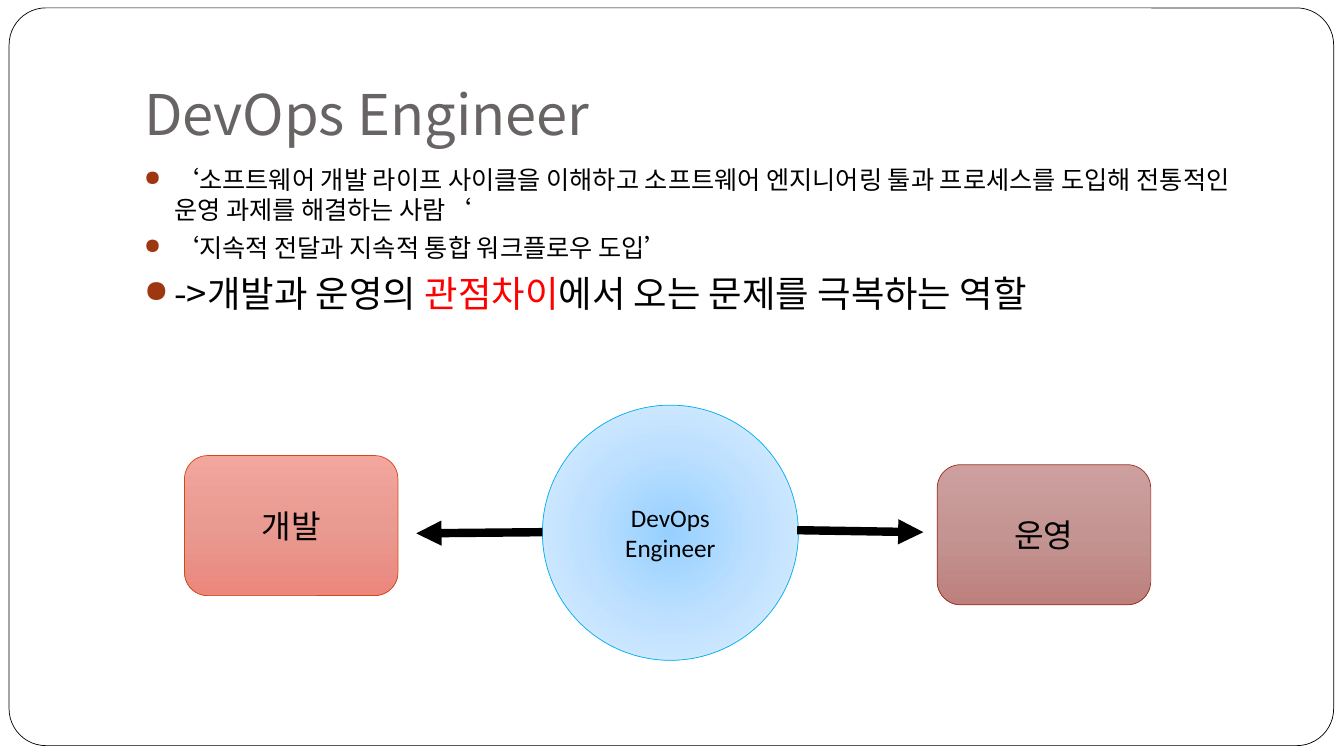
from dataclasses import dataclass

from lxml import etree
from pptx import Presentation
from pptx import util as u
from pptx.dml.color import RGBColor
from pptx.enum import shapes, text
from pptx.oxml import ns


@dataclass(frozen=True)
class Theme:
    black: str = "000000"
    white: str = "FFFFFF"
    title: str = "696464"
    bullet: str = "9E3611"
    accent: str = "FF0000"
    heading_font: str = "Noto Sans CJK KR"
    label_font: str = "Calibri"
    title_size: float = 40
    body_size: float = 18
    key_size: float = 26
    box_size: float = 23
    circle_size: float = 18
    outline: float = 0.5
    arrow: float = 6


THEME = Theme()


@dataclass(frozen=True)
class Run:
    words: str
    size: float
    color: str = THEME.black
    font: str = THEME.heading_font


@dataclass(frozen=True)
class Node:
    kind: shapes.MSO_SHAPE
    left: float
    top: float
    width: float
    height: float
    gradient: tuple[str, str, str]
    outline: str
    lines: tuple[str, ...]
    size: float
    radial: bool = False


@dataclass(frozen=True)
class Arrow:
    start: tuple[float, float]
    end: tuple[float, float]


BULLETS = (
    (Run("‘소프트웨어 개발 라이프 사이클을 이해하고 소프트웨어 엔지니어링 툴과 프로세스를 도입해 "
         "전통적인 운영 과제를 해결하는 사람‘", THEME.body_size),),
    (Run("‘지속적 전달과 지속적 통합 워크플로우 도입’", THEME.body_size),),
    (
        Run("->개발과 운영의 ", THEME.key_size),
        Run("관점차이", THEME.key_size, THEME.accent),
        Run("에서 오는 문제를 극복하는 역할", THEME.key_size),
    ),
)

NODES = (
    Node(shapes.MSO_SHAPE.ROUNDED_RECTANGLE, 4.65, 11.48, 5.38, 3.53,
         ("F2A69E", "E99A91", "EB877C"), "D34817", ("개발",), THEME.box_size),
    Node(shapes.MSO_SHAPE.ROUNDED_RECTANGLE, 23.62, 11.71, 5.38, 3.53,
         ("CDA09F", "C39492", "BD807D"), "9B2D1F", ("운영",), THEME.box_size),
    Node(shapes.MSO_SHAPE.OVAL, 13.67, 10.21, 6.45, 6.43,
         ("96D0FF", "BFE1FF", "E0EFFF"), "00B0F0", ("DevOps", "Engineer"),
         THEME.circle_size, radial=True),
)

ARROWS = (
    Arrow((13.67, 13.41), (10.49, 13.44)),
    Arrow((20.09, 13.36), (23.27, 13.41)),
)


def add_element(parent, tag: str, **attributes: str):
    return etree.SubElement(parent, ns.qn(tag), attributes)


def add_run(paragraph, run: Run) -> None:
    piece = paragraph.add_run()
    piece.text = run.words
    piece.font.size = u.Pt(run.size)
    piece.font.name = run.font
    piece.font.color.rgb = RGBColor.from_string(run.color)
    add_element(piece.font._element, "a:ea", typeface=THEME.heading_font)


def add_text_frame(slide, left: float, top: float, width: float, height: float):
    frame = slide.shapes.add_textbox(
        u.Cm(left), u.Cm(top), u.Cm(width), u.Cm(height)).text_frame
    frame.word_wrap = True
    return frame


def add_shape(slide, kind: shapes.MSO_SHAPE, left: float, top: float,
              width: float, height: float, outline: str):
    shape = slide.shapes.add_shape(
        kind, u.Cm(left), u.Cm(top), u.Cm(width), u.Cm(height))
    shape.shadow.inherit = False
    shape.line.color.rgb = RGBColor.from_string(outline)
    shape.line.width = u.Pt(THEME.outline)
    return shape


def add_frame(slide) -> None:
    frame = add_shape(slide, shapes.MSO_SHAPE.ROUNDED_RECTANGLE,
                      0.23, 0.2, 33.38, 18.59, THEME.black)
    frame.adjustments[0] = 0.05
    frame.fill.solid()
    frame.fill.fore_color.rgb = RGBColor.from_string(THEME.white)


def add_title(slide) -> None:
    frame = add_text_frame(slide, 3.38, 0.76, 28.78, 3.94 - 0.76)
    frame.vertical_anchor = text.MSO_ANCHOR.BOTTOM
    frame.margin_bottom = u.Cm(0.25)
    add_run(frame.paragraphs[0],
            Run("DevOps Engineer", THEME.title_size, THEME.title))


def add_bullets(slide) -> None:
    frame = add_text_frame(slide, 3.38, 4.01, 28.78, 12.7)
    indent = u.Cm(0.76)
    for index, runs in enumerate(BULLETS):
        paragraph = frame.add_paragraph() if index else frame.paragraphs[0]
        paragraph.space_before = u.Pt(5.8)
        properties = paragraph._p.get_or_add_pPr()
        properties.set("marL", str(indent))
        properties.set("indent", str(-indent))
        color = add_element(properties, "a:buClr")
        add_element(color, "a:srgbClr", val=THEME.bullet)
        add_element(properties, "a:buSzPct", val="85000")
        add_element(properties, "a:buChar", char="●")
        for run in runs:
            add_run(paragraph, run)


def set_gradient(shape, colors: tuple[str, ...], radial: bool) -> None:
    shape.fill.gradient()
    gradient = shape._element.spPr.find(ns.qn("a:gradFill"))
    for child in list(gradient):
        gradient.remove(child)
    stops = add_element(gradient, "a:gsLst")
    for index, color in enumerate(colors):
        position = 100000 * index // (len(colors) - 1)
        stop = add_element(stops, "a:gs", pos=str(position))
        add_element(stop, "a:srgbClr", val=color)
    if radial:
        center = add_element(gradient, "a:path", path="circle")
        add_element(center, "a:fillToRect",
                    **dict.fromkeys(("l", "t", "r", "b"), "50000"))
    else:
        add_element(gradient, "a:lin", ang="5400000", scaled="0")


def add_node(slide, node: Node) -> None:
    shape = add_shape(slide, node.kind, node.left, node.top,
                      node.width, node.height, node.outline)
    set_gradient(shape, node.gradient, node.radial)
    frame = shape.text_frame
    frame.vertical_anchor = text.MSO_ANCHOR.MIDDLE
    for index, line in enumerate(node.lines):
        paragraph = frame.add_paragraph() if index else frame.paragraphs[0]
        paragraph.alignment = text.PP_ALIGN.CENTER
        add_run(paragraph, Run(line, node.size, font=THEME.label_font))


def add_arrow(slide, arrow: Arrow) -> None:
    connector = slide.shapes.add_connector(
        shapes.MSO_CONNECTOR.STRAIGHT,
        *(u.Cm(value) for value in arrow.start + arrow.end))
    connector.line.color.rgb = RGBColor.from_string(THEME.black)
    connector.line.width = u.Pt(THEME.arrow)
    add_element(connector.line._get_or_add_ln(), "a:tailEnd", type="triangle")
    add_element(connector._element.spPr, "a:effectLst")


def main() -> None:
    presentation = Presentation()
    presentation.slide_width = u.Cm(33.87)
    presentation.slide_height = u.Cm(19.05)
    slide = presentation.slides.add_slide(presentation.slide_layouts[6])
    add_frame(slide)
    add_title(slide)
    add_bullets(slide)
    for node in NODES:
        add_node(slide, node)
    for arrow in ARROWS:
        add_arrow(slide, arrow)
    presentation.save("out.pptx")


if __name__ == "__main__":
    main()
